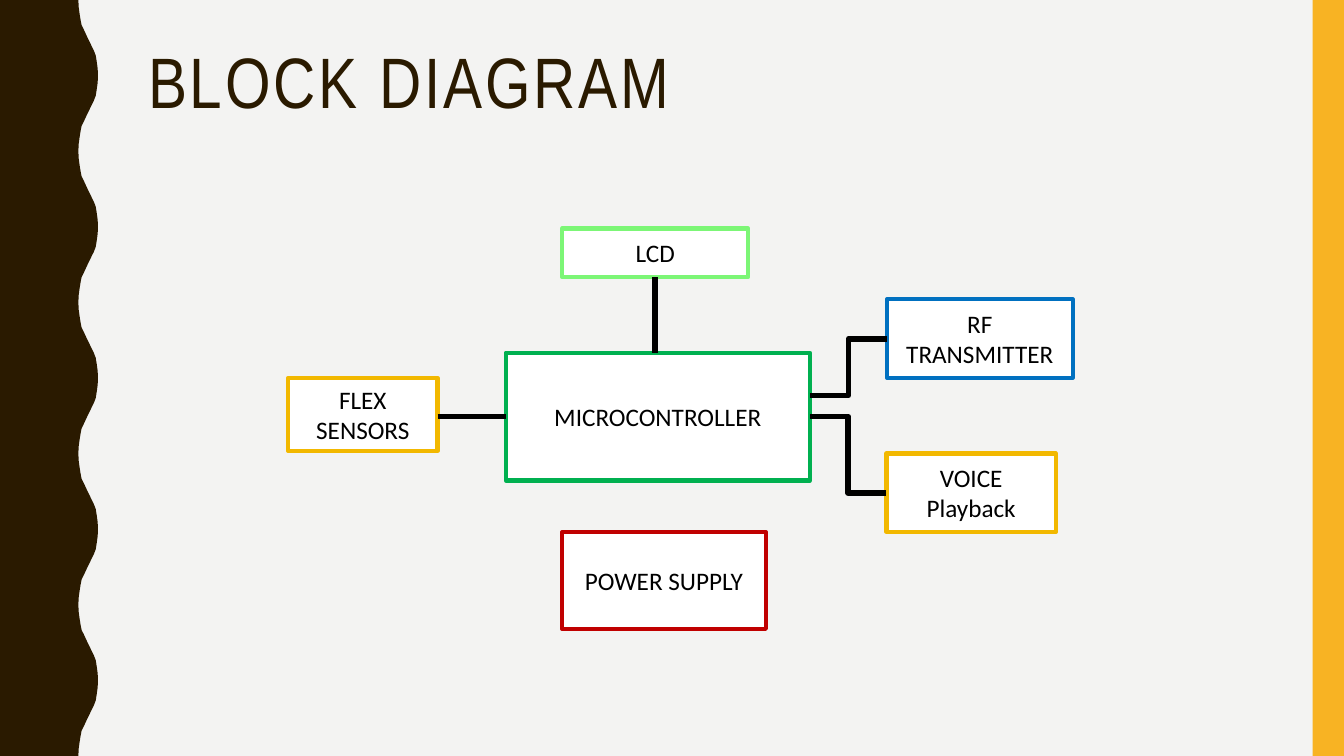
import pptx
import pptx.util
import pptx.dml.color
import pptx.enum.shapes
import pptx.enum.text
import pptx.oxml.ns
import lxml.etree

Pt = pptx.util.Pt
RGBColor = pptx.dml.color.RGBColor
MSO_SHAPE = pptx.enum.shapes.MSO_SHAPE
MSO_CONNECTOR = pptx.enum.shapes.MSO_CONNECTOR
MSO_ANCHOR = pptx.enum.text.MSO_ANCHOR
PP_ALIGN = pptx.enum.text.PP_ALIGN

PAPER = RGBColor(0xF3, 0xF3, 0xF2)
BROWN = RGBColor(0x2A, 0x1A, 0x00)
AMBER = RGBColor(0xF8, 0xB3, 0x23)
BLACK = RGBColor(0x00, 0x00, 0x00)
WHITE = RGBColor(0xFF, 0xFF, 0xFF)
GREEN = RGBColor(0x00, 0xB0, 0x50)
LIME = RGBColor(0x7C, 0xF6, 0x76)
GOLD = RGBColor(0xF2, 0xB8, 0x00)
RED = RGBColor(0xC0, 0x00, 0x00)
BLUE = RGBColor(0x00, 0x70, 0xC0)

SLIDE_WIDTH, SLIDE_HEIGHT = 960, 540
WAVE_PERIOD = 108
WAVE_RISE = [
    (56, 0), (56.2, 5), (56.9, 10), (57.6, 14.4), (58.3, 18),
    (59.8, 21), (61.2, 24), (62.6, 27), (64.1, 30), (65.5, 33),
    (67, 36), (68.4, 39.6), (69.1, 44), (69.8, 49), (70, 54),
]

BLOCKS = [
    ("MICROCONTROLLER", 361.2, 252, 217.4, 91.2, GREEN),
    ("LCD", 401.6, 163.2, 132.8, 34.8, LIME),
    ("FLEX SENSORS", 205.8, 270, 106.8, 52, GOLD),
    ("POWER SUPPLY", 401.6, 380, 145.4, 69.2, RED),
    ("RF TRANSMITTER", 633.6, 213.8, 132.6, 56, BLUE),
    ("VOICE Playback", 633.2, 324, 121, 56, GOLD),
]

LINKS = [
    (MSO_CONNECTOR.STRAIGHT, 468, 198, 468, 252),
    (MSO_CONNECTOR.STRAIGHT, 312.6, 297.4, 361.2, 297.4),
    (MSO_CONNECTOR.ELBOW, 578.4, 282.4, 633.6, 242),
    (MSO_CONNECTOR.ELBOW, 578.4, 297.4, 633.2, 352),
]


def fill_plain(shape, color):
    shape.shadow.inherit = False
    shape.fill.solid()
    shape.fill.fore_color.rgb = color
    shape.line.fill.background()


def add_wave(slide):
    fall = [(x, WAVE_PERIOD - y) for x, y in reversed(WAVE_RISE[:-1])]
    period = WAVE_RISE + fall
    edge = [
        (x, y + top)
        for top in range(0, SLIDE_HEIGHT, WAVE_PERIOD)
        for x, y in period
    ]
    outline = edge + [(0, SLIDE_HEIGHT)]
    builder = slide.shapes.build_freeform(0, 0)
    builder.add_line_segments([(Pt(x), Pt(y)) for x, y in outline], close=True)
    fill_plain(builder.convert_to_shape(), BROWN)


def add_side_bar(slide):
    left = 937.6
    bar = slide.shapes.add_shape(
        MSO_SHAPE.RECTANGLE, Pt(left), 0, Pt(SLIDE_WIDTH - left), Pt(SLIDE_HEIGHT)
    )
    fill_plain(bar, AMBER)


def set_title(slide, text):
    title = slide.shapes.title
    title.left, title.top = Pt(98.6), Pt(30.2)
    title.width, title.height = Pt(801.4), Pt(117.4)
    frame = title.text_frame
    frame.text = text
    frame.word_wrap = True
    frame.auto_size = pptx.enum.text.MSO_AUTO_SIZE.NONE
    frame.vertical_anchor = MSO_ANCHOR.TOP
    paragraph = frame.paragraphs[0]
    paragraph.alignment = PP_ALIGN.LEFT
    paragraph.line_spacing = 0.9
    paragraph.font.name = "Arial Narrow"
    paragraph.font.size = Pt(51)
    paragraph.font.color.rgb = BROWN
    paragraph.runs[0].font._element.set("spc", "200")


def add_block(slide, text, left, top, width, height, border):
    block = slide.shapes.add_shape(
        MSO_SHAPE.FLOWCHART_PROCESS, Pt(left), Pt(top), Pt(width), Pt(height)
    )
    fill_plain(block, WHITE)
    block.line.color.rgb = border
    block.line.width = Pt(3)
    frame = block.text_frame
    frame.text = text
    frame.word_wrap = True
    frame.vertical_anchor = MSO_ANCHOR.MIDDLE
    paragraph = frame.paragraphs[0]
    paragraph.alignment = PP_ALIGN.CENTER
    paragraph.font.name = "Calibri"
    paragraph.font.size = Pt(18)
    paragraph.font.color.rgb = BLACK


def add_link(slide, kind, *ends):
    link = slide.shapes.add_connector(kind, *[Pt(value) for value in ends])
    link.line.color.rgb = BLACK
    link.line.width = Pt(4)
    properties = link._element.spPr
    lxml.etree.SubElement(properties, pptx.oxml.ns.qn("a:effectLst"))


def main():
    presentation = pptx.Presentation()
    presentation.slide_width = Pt(SLIDE_WIDTH)
    presentation.slide_height = Pt(SLIDE_HEIGHT)
    slide = presentation.slides.add_slide(presentation.slide_layouts[5])
    slide.background.fill.solid()
    slide.background.fill.fore_color.rgb = PAPER
    add_wave(slide)
    add_side_bar(slide)
    set_title(slide, "BLOCK DIAGRAM")
    for block in BLOCKS:
        add_block(slide, *block)
    for link in LINKS:
        add_link(slide, *link)
    presentation.save("out.pptx")


if __name__ == "__main__":
    main()
